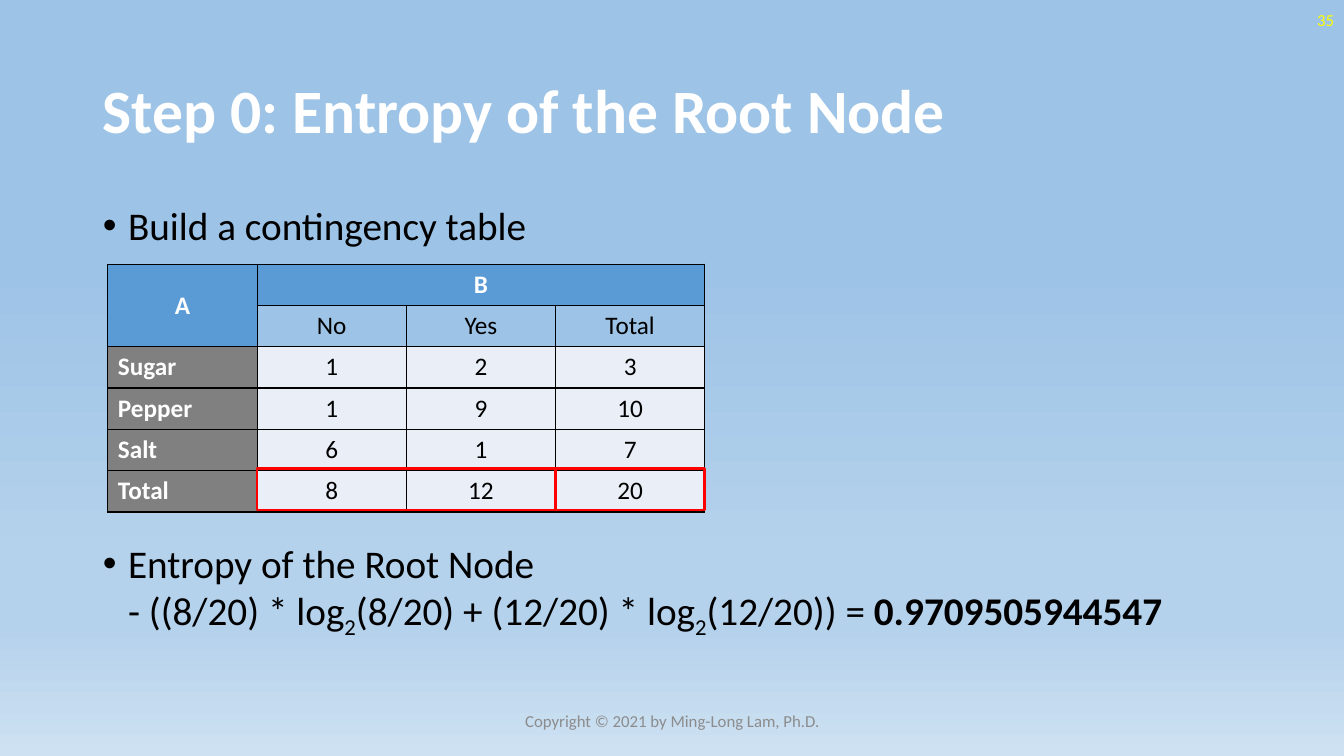
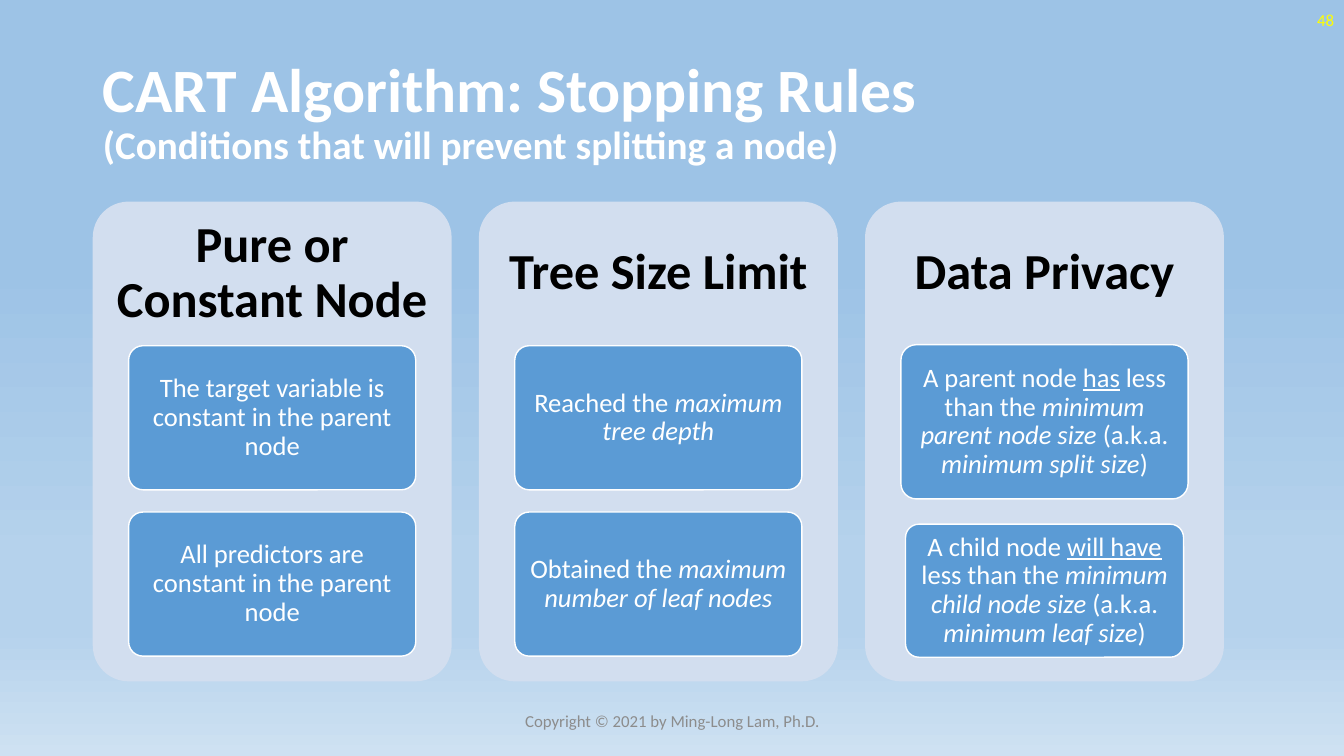
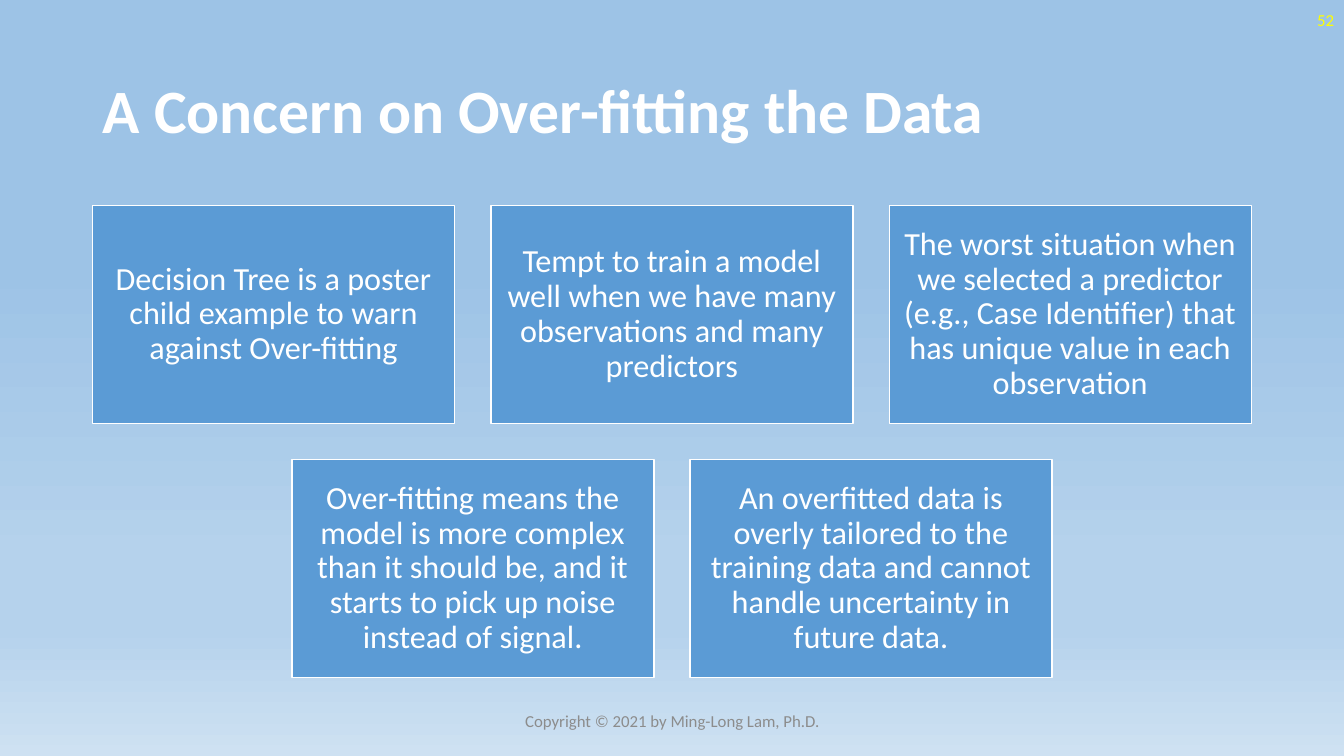
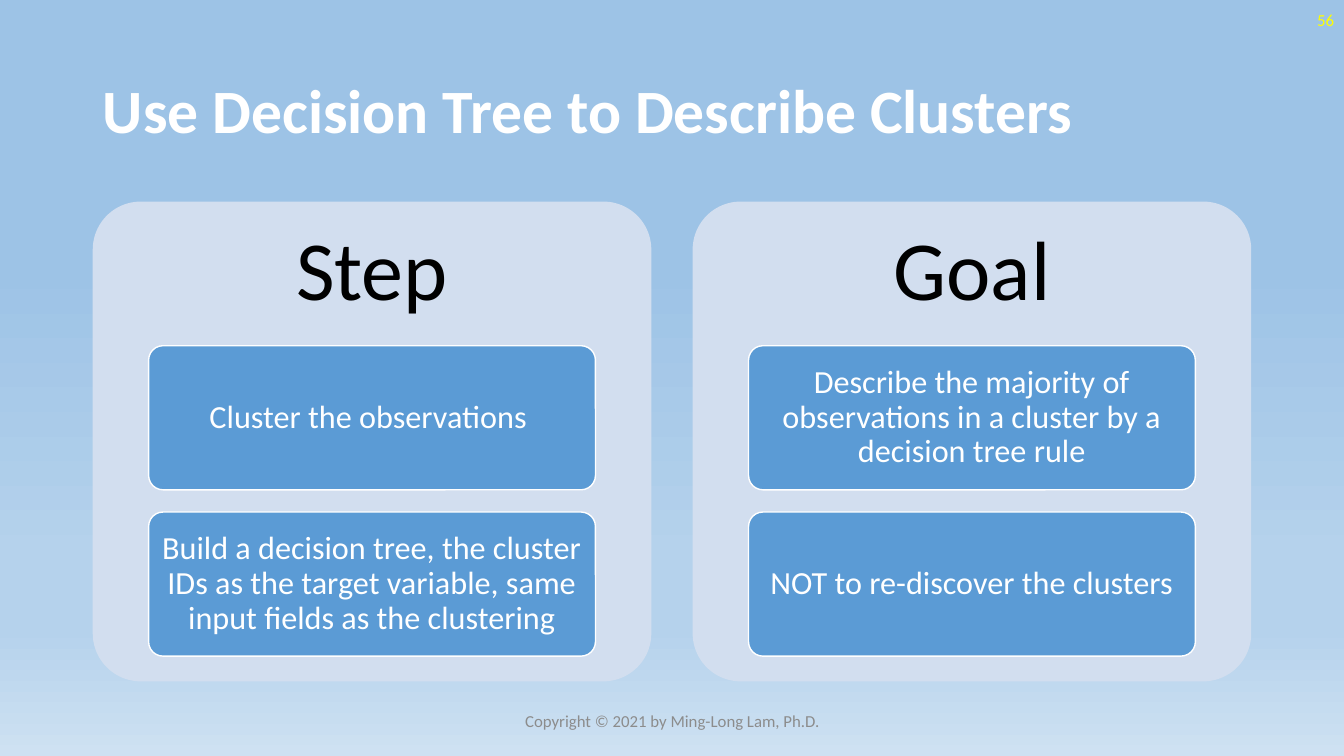
from lxml.etree import SubElement
from pptx import Presentation
from pptx.dml.color import RGBColor
from pptx.enum.shapes import MSO_SHAPE
from pptx.enum.text import MSO_ANCHOR, MSO_AUTO_SIZE, PP_ALIGN
from pptx.oxml import parse_xml
from pptx.oxml.ns import nsdecls, qn
from pptx.util import Inches, Pt

COLORS = {
    "white": "FFFFFF", "black": "000000", "blue": "5B9BD5", "sky": "9DC3E6",
    "mist": "B5D2EC", "haze": "CEE1F2", "panel": "D2DEEF", "cell": "EAEFF7",
    "gray": "808080", "footer": "8C8C8C", "number": "FFFF00", "red": "FF0000",
}
TITLE = {"size": 44, "color": "white", "bold": True}
BODY = {"size": 28, "color": "black"}
ITALIC = {"italic": True}
UNDERLINE = {"underline": True}
SUB = {"baseline": "-25000"}


def write(p, runs, base, align=PP_ALIGN.LEFT, spacing=None):
    p.alignment = align
    p.line_spacing = spacing
    for text, extra in [(runs, {})] if isinstance(runs, str) else runs:
        for i, line in enumerate(text.split("\n")):
            if i:
                p.add_line_break()
            if not line:
                continue
            r = p.add_run()
            r.text = line
            for key, value in {"name": "Calibri", **base, **extra}.items():
                if key == "color":
                    r.font.color.rgb = RGBColor.from_string(COLORS[value])
                elif key == "baseline":
                    r.font._element.set(key, value)
                else:
                    setattr(r.font, key, Pt(value) if key == "size" else value)


def add_box(s, kind, at, fill=None, line=None, width=1, inset=(0.1, 0.05)):
    at = [Inches(n) for n in at]
    if kind is None:
        sp = s.shapes.add_textbox(*at)
    else:
        sp = s.shapes.add_shape(kind, *at)
        sp.shadow.inherit = False
        if kind == MSO_SHAPE.ROUNDED_RECTANGLE:
            sp.adjustments[0] = 0.1
        if fill:
            sp.fill.solid()
            sp.fill.fore_color.rgb = RGBColor.from_string(COLORS[fill])
        else:
            sp.fill.background()
        if line:
            sp.line.color.rgb = RGBColor.from_string(COLORS[line])
            sp.line.width = Pt(width)
        else:
            sp.line.fill.background()
    tf = sp.text_frame
    tf.word_wrap = True
    tf.vertical_anchor = MSO_ANCHOR.MIDDLE
    tf.margin_left = tf.margin_right = Inches(inset[0])
    tf.margin_top = tf.margin_bottom = Inches(inset[1])
    return sp


prs = Presentation()
prs.slide_width = Inches(13.33)
prs.slide_height = Inches(7.5)

master = prs.slide_master
fill = master.background.fill
fill.gradient()
fill.gradient_angle = 270
stops = master.element.find(".//" + qn("a:gsLst"))
for stop in list(stops):
    stops.remove(stop)
for pos, color in [(35, "sky"), (74, "mist"), (83, "mist"), (100, "haze")]:
    stop = SubElement(stops, qn("a:gs"), pos=str(pos * 1000))
    SubElement(stop, qn("a:srgbClr"), val=COLORS[color])
for style, size in [("p:titleStyle", 44), ("p:bodyStyle", 28)]:
    level = master.element.find(".//" + qn(style)).find(qn("a:lvl1pPr"))
    level.find(qn("a:defRPr")).set("sz", str(size * 100))

slides = []
for layout, number, title in [
    (1, "35", "Step 0: Entropy of the Root Node"),
    (5, "48", [("CART Algorithm: Stopping Rules\n", {}),
               ("(Conditions that will prevent splitting a node)", {"size": 28})]),
    (5, "52", "A Concern on Over-fitting the Data"),
    (5, "56", "Use Decision Tree to Describe Clusters"),
]:
    s = prs.slides.add_slide(prs.slide_layouts[layout])
    sp = s.shapes.title
    sp.left, sp.top, sp.width, sp.height = [Inches(n) for n in (0.92, 0.4, 11.5, 1.45)]
    tf = sp.text_frame
    tf.auto_size = MSO_AUTO_SIZE.NONE
    tf.vertical_anchor = MSO_ANCHOR.MIDDLE
    write(tf.paragraphs[0], title, TITLE, spacing=0.9)
    for text, at, color, align in [
        ("Copyright © 2021 by Ming-Long Lam, Ph.D.", (4.42, 6.95, 4.5, 0.4), "footer", PP_ALIGN.CENTER),
        (number, (10.33, 0, 3, 0.4), "number", PP_ALIGN.RIGHT),
    ]:
        tf = add_box(s, None, at).text_frame
        write(tf.paragraphs[0], text, {"size": 12, "color": color}, align)
    slides.append(s)

s = slides[0]
sp = s.placeholders[1]
sp.left, sp.top, sp.width, sp.height = [Inches(n) for n in (0.92, 2, 11.5, 4.76)]
tf = sp.text_frame
tf.auto_size = MSO_AUTO_SIZE.NONE
formula = [
    ("Entropy of the Root Node\n- ((8/20) * log", {}), ("2", SUB),
    ("(8/20) + (12/20) * log", {}), ("2", SUB),
    ("(12/20)) = ", {}), ("0.9709505944547", {"bold": True}),
]
for p, runs, before in [
    (tf.paragraphs[0], "Build a contingency table", 0),
    (tf.add_paragraph(), formula, 211),
]:
    write(p, runs, BODY, spacing=0.9)
    p.space_before = Pt(before)
    pPr = p._p.get_or_add_pPr()
    pPr.set("marL", str(Inches(0.25)))
    pPr.set("indent", str(Inches(-0.25)))

rows = [
    ["A", "B", "", ""],
    ["", "No", "Yes", "Total"],
    ["Sugar", "1", "2", "3"],
    ["Pepper", "1", "9", "10"],
    ["Salt", "6", "1", "7"],
    ["Total", "8", "12", "20"],
]
left, top, col_w, row_h = 1.07, 2.62, 1.48, 0.41
table = s.shapes.add_table(
    6, 4, Inches(left), Inches(top), Inches(4 * col_w), Inches(6 * row_h)).table
table.first_row = table.horz_banding = False
for col in table.columns:
    col.width = Inches(col_w)
for row in table.rows:
    row.height = Inches(row_h)
table.cell(0, 0).merge(table.cell(1, 0))
table.cell(0, 1).merge(table.cell(0, 3))
for i, row in enumerate(rows):
    for j, text in enumerate(row):
        cell = table.cell(i, j)
        head = i == 0 or j == 0
        if i == 0 or (i == 1 and j == 0):
            color = "blue"
        elif j == 0:
            color = "gray"
        else:
            color = "sky" if i == 1 else "cell"
        cell.fill.solid()
        cell.fill.fore_color.rgb = RGBColor.from_string(COLORS[color])
        if i == 0 and j == 0:
            cell.vertical_anchor = MSO_ANCHOR.MIDDLE
        fmt = {"size": 18, "bold": head, "color": "white" if head else "black"}
        align = PP_ALIGN.LEFT if j == 0 and i > 1 else PP_ALIGN.CENTER
        write(cell.text_frame.paragraphs[0], text, fmt, align)
        tcPr = cell._tc.get_or_add_tcPr()
        for k, side in enumerate(["lnL", "lnR", "lnT", "lnB"]):
            tcPr.insert(k, parse_xml(
                f'<a:{side} {nsdecls("a")} w="{Pt(1)}"><a:solidFill>'
                f'<a:srgbClr val="{COLORS["black"]}"/></a:solidFill></a:{side}>'))
for start, span in [(1, 2), (3, 1)]:
    at = (left + start * col_w, top + 5 * row_h - 0.02, span * col_w, row_h)
    add_box(s, MSO_SHAPE.RECTANGLE, at, line="red", width=2)

EVEN = [(0, 3.43, 1.43), (0, 5.08, 1.43)]
UNEVEN = [(0, 3.42, 1.53), (0.09, 5.2, 1.32)]
stopping = [
    ("Pure or Constant Node", EVEN, [
        "The target variable is constant in the parent node",
        "All predictors are constant in the parent node"]),
    ("Tree Size Limit", EVEN, [
        [("Reached the ", {}), ("maximum tree depth", ITALIC)],
        [("Obtained the ", {}), ("maximum number of leaf nodes", ITALIC)]]),
    ("Data Privacy", UNEVEN, [
        [("A parent node ", {}), ("has", UNDERLINE), (" less than the", {}),
         (" minimum parent node size", ITALIC), (" (a.k.a. ", {}),
         ("minimum split size", ITALIC), (")", {})],
        [("A child node ", {}), ("will have", UNDERLINE), (" less than the ", {}),
         ("minimum child node size ", ITALIC), ("(a.k.a. ", {}),
         ("minimum leaf size", ITALIC), (")", {})]]),
]
clusters = [
    ("Step", EVEN, [
        "Cluster the observations ",
        "Build a decision tree, the cluster IDs as the target variable, "
        "same input fields as the clustering"]),
    ("Goal", EVEN, [
        "Describe the majority of observations in a cluster by a decision tree rule",
        "NOT to re-discover the clusters"]),
]
for s, panels, width, gap, head_fmt, head_inset, size, inset in [
    (slides[1], stopping, 3.56, 0.27, {"size": 36, "bold": True}, 0.15, 19, (0.05, 0.04)),
    (slides[3], clusters, 5.54, 0.41, {"size": 60}, 0.25, 23, (0.06, 0.05)),
]:
    for i, (heading, places, cards) in enumerate(panels):
        left = 0.92 + i * (width + gap)
        add_box(s, MSO_SHAPE.ROUNDED_RECTANGLE, (left, 2, width, 4.76), "panel")
        tf = add_box(s, None, (left, 2, width, 1.43), inset=(head_inset, head_inset)).text_frame
        write(tf.paragraphs[0], heading, {"color": "black", **head_fmt}, PP_ALIGN.CENTER, 0.9)
        for (narrower, top, height), runs in zip(places, cards):
            card_w = 0.8 * width - narrower
            at = (left + (width - card_w) / 2, top, card_w, height)
            tf = add_box(s, MSO_SHAPE.ROUNDED_RECTANGLE, at, "blue", "white", inset=inset).text_frame
            write(tf.paragraphs[0], runs, {"size": size, "color": "white"}, PP_ALIGN.CENTER, 0.9)

s = slides[2]
concerns = [
    ["Decision Tree is a poster child example to warn against Over-fitting",
     "Tempt to train a model well when we have many observations and many predictors",
     "The worst situation when we selected a predictor (e.g., Case Identifier) "
     "that has unique value in each observation"],
    ["Over-fitting means the model is more complex than it should be, "
     "and it starts to pick up noise instead of signal.",
     "An overfitted data is overly tailored to the training data "
     "and cannot handle uncertainty in future data."],
]
width, height, gap = 3.59, 2.16, 0.36
for i, row in enumerate(concerns):
    left = (13.33 - len(row) * width - (len(row) - 1) * gap) / 2
    for j, text in enumerate(row):
        at = (left + j * (width + gap), 2.04 + i * (height + gap), width, height)
        tf = add_box(s, MSO_SHAPE.RECTANGLE, at, "blue", "white", inset=(0.1, 0.1)).text_frame
        write(tf.paragraphs[0], text, {"size": 23, "color": "white"}, PP_ALIGN.CENTER, 0.9)

prs.save("out.pptx")
